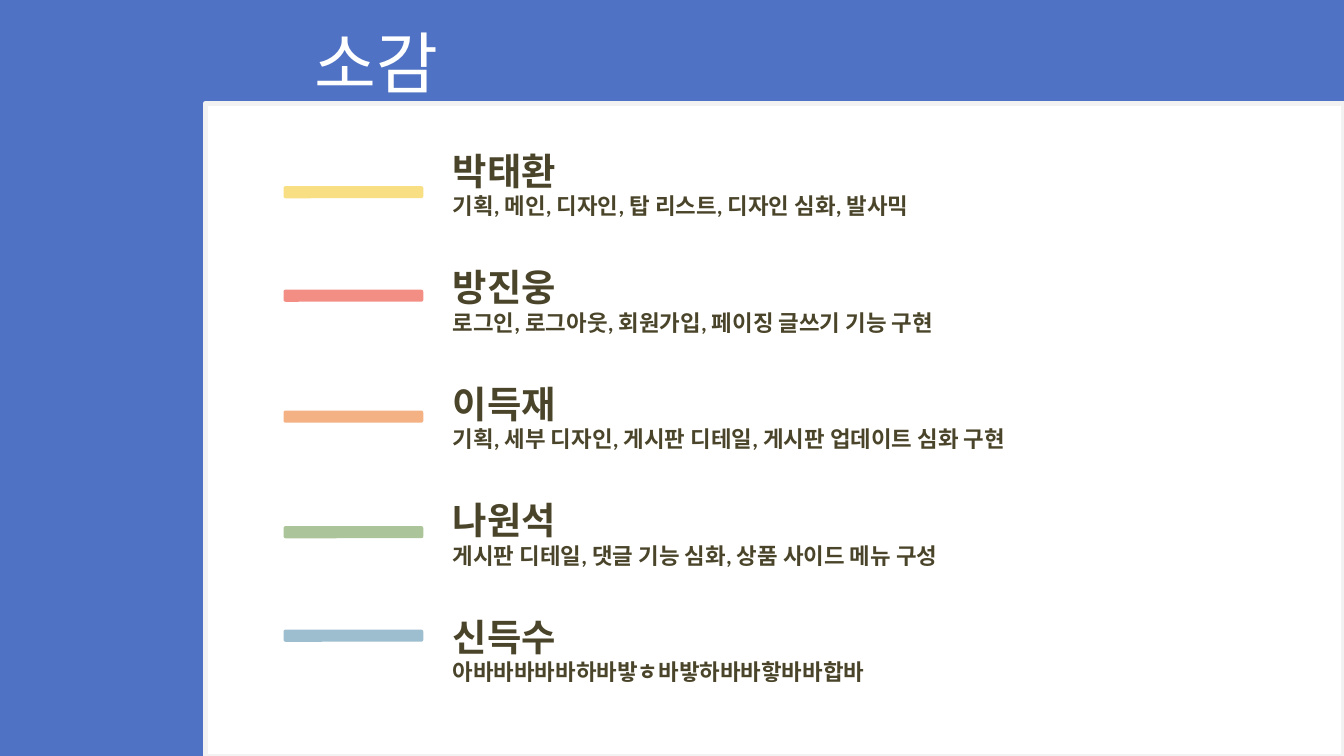
from pptx import Presentation
from pptx.dml.color import RGBColor
from pptx.enum.shapes import MSO_SHAPE
from pptx.enum.text import MSO_ANCHOR, MSO_AUTO_SIZE, PP_ALIGN
from pptx.util import Inches, Pt

BLUE, WHITE, PALE, BROWN = "5072C4", "FFFFFF", "F2F2F2", "4A452A"
SLIDE_WIDTH = Inches(10)
SLIDE_HEIGHT = SLIDE_WIDTH * 9 // 16
BAR_LEFT, BAR_WIDTH, BAR_HEIGHT = 2.11, 1.04, 0.09
MEMBERS = [
    ("박태환", "기획, 메인, 디자인, 탑 리스트, 디자인 심화, 발사믹", "F9DF84", 1.43),
    ("방진웅", "로그인, 로그아웃, 회원가입, 페이징 글쓰기 기능 구현", "F28E83", 2.2),
    ("이득재", "기획, 세부 디자인, 게시판 디테일, 게시판 업데이트 심화 구현", "F4B183", 3.1),
    ("나원석", "게시판 디테일, 댓글 기능 심화, 상품 사이드 메뉴 구성", "ACC499", 3.96),
    ("신득수", "아바바바바바하바밯ㅎ바밯하바바핳바바합바", "9CBECE", 4.73),
]


def rgb(color):
    return RGBColor.from_string(color)


def add_run(p, text, size, font, color, bold=False):
    r = p.add_run()
    r.text = text
    r.font.size = Pt(size)
    r.font.name = font
    r.font.bold = bold
    r.font.color.rgb = rgb(color)


def add_box(s, kind, box, fill, line=None):
    sp = s.shapes.add_shape(kind, *map(Inches, box))
    sp.shadow.inherit = False
    sp.fill.solid()
    sp.fill.fore_color.rgb = rgb(fill)
    if line:
        sp.line.color.rgb = rgb(line)
        sp.line.width = Pt(3)
    else:
        sp.line.fill.background()


def set_title(s, text, box):
    sp = s.shapes.title
    sp.left, sp.top, sp.width, sp.height = map(Inches, box)
    tf = sp.text_frame
    tf.auto_size = MSO_AUTO_SIZE.NONE
    tf.vertical_anchor = MSO_ANCHOR.MIDDLE
    p = tf.paragraphs[0]
    p.alignment = PP_ALIGN.LEFT
    p.space_before = Pt(7.2)
    add_run(p, text, 36, "Arial", WHITE)


def add_bar(s, middle, color):
    box = (BAR_LEFT, middle - BAR_HEIGHT / 2, BAR_WIDTH, BAR_HEIGHT)
    add_box(s, MSO_SHAPE.ROUNDED_RECTANGLE, box, color)


def add_member_text(s, box):
    tf = s.shapes.add_textbox(*map(Inches, box)).text_frame
    tf.word_wrap = True
    for i, (name, work, _, _) in enumerate(MEMBERS):
        p = tf.add_paragraph() if i else tf.paragraphs[0]
        if i:
            p.space_before = Pt(24)
        add_run(p, name, 20, "Calibri", BROWN, True)
        add_run(tf.add_paragraph(), work, 12, "Calibri", BROWN, True)


def main():
    prs = Presentation()
    prs.slide_width, prs.slide_height = SLIDE_WIDTH, SLIDE_HEIGHT
    s = prs.slides.add_slide(prs.slide_layouts[5])
    s.background.fill.solid()
    s.background.fill.fore_color.rgb = rgb(BLUE)
    add_box(s, MSO_SHAPE.RECTANGLE, (1.53, 0.77, 8.47, 4.86), WHITE, PALE)
    set_title(s, "소감", (2.24, 0.14, 7.76, 0.63))
    for _, _, color, middle in MEMBERS:
        add_bar(s, middle, color)
    add_member_text(s, (3.27, 1.05, 5.03, 4.14))
    prs.save("out.pptx")


if __name__ == "__main__":
    main()
